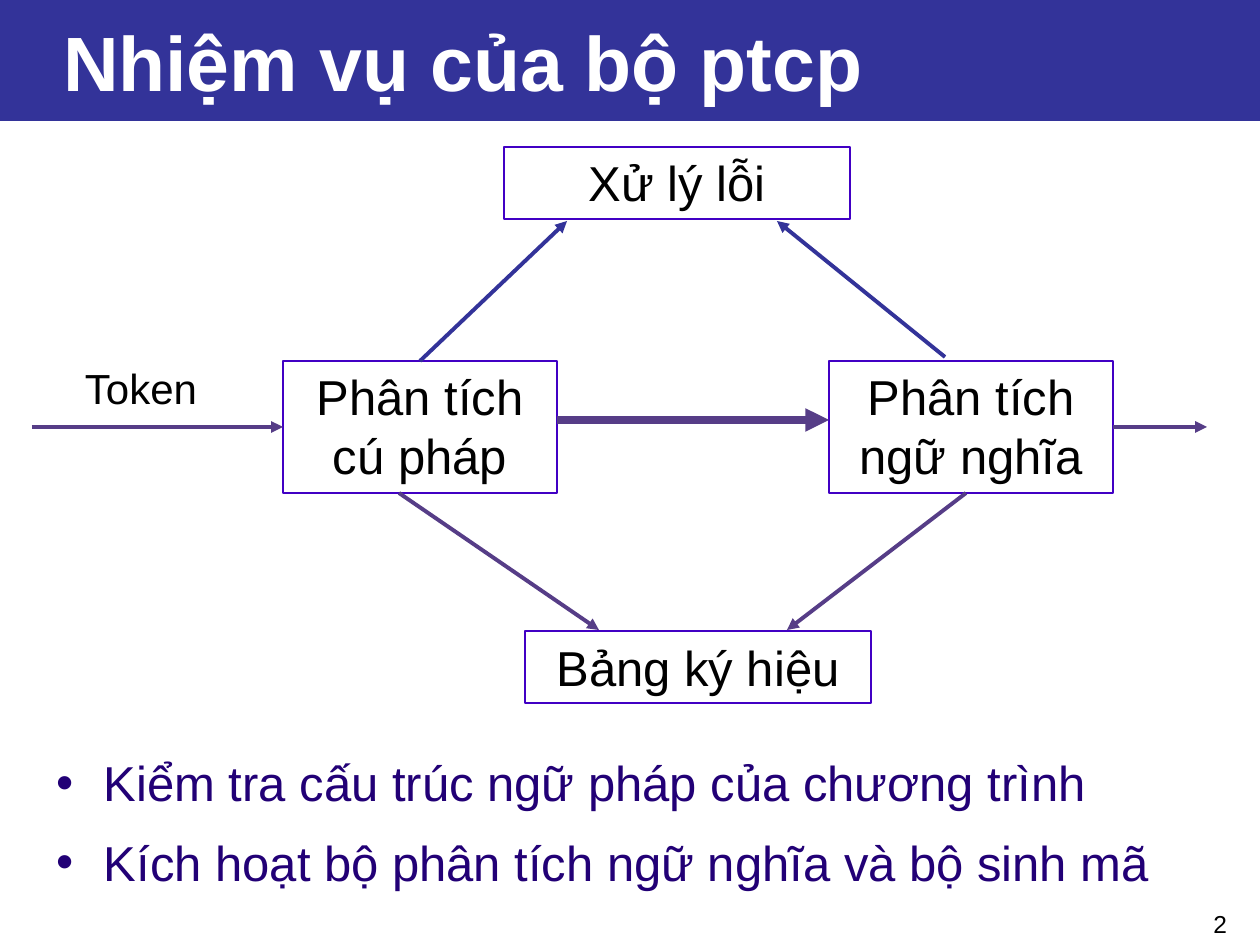
from dataclasses import dataclass

from lxml.etree import SubElement
from pptx import Presentation
from pptx.dml.color import RGBColor
from pptx.enum.shapes import MSO_CONNECTOR, MSO_SHAPE
from pptx.enum.text import MSO_ANCHOR, MSO_AUTO_SIZE, PP_ALIGN
from pptx.oxml.ns import qn
from pptx.util import Emu, Pt


@dataclass
class Theme:
    font: str = "Arial"
    band: str = "333399"
    white: str = "FFFFFF"
    black: str = "000000"
    bullet: str = "220076"
    border: str = "4100C4"
    flow: str = "563D87"
    title: int = 44
    body: int = 28
    label: int = 24
    number: int = 14


def px(v):
    return Emu(round(v * 914400 / 126))


def write(sp, text, size, color, align=PP_ALIGN.LEFT, anchor=MSO_ANCHOR.TOP,
          bold=False, margins=(12, 6, 12, 6), bullet=None, line=None, gap=0):
    tf = sp.text_frame
    tf.word_wrap = True
    tf.auto_size = MSO_AUTO_SIZE.NONE
    tf.vertical_anchor = anchor
    tf.margin_left, tf.margin_top, tf.margin_right, tf.margin_bottom = map(px, margins)
    for i, words in enumerate(text.split("\n")):
        p = tf.add_paragraph() if i else tf.paragraphs[0]
        p.alignment = align
        p.line_spacing = line
        p.space_before = Pt(gap if i else 0)
        if bullet:
            pPr = p._p.get_or_add_pPr()
            pPr.set("marL", str(px(47)))
            pPr.set("indent", str(-px(47)))
            SubElement(SubElement(pPr, qn("a:buClr")), qn("a:srgbClr"), val=color)
            SubElement(pPr, qn("a:buFont"), typeface=th.font)
            SubElement(pPr, qn("a:buChar"), char=bullet)
        r = p.add_run()
        r.text = words
        r.font.name = th.font
        r.font.size = Pt(size)
        r.font.bold = bold
        r.font.color.rgb = RGBColor.from_string(color)


th = Theme()
prs = Presentation()
prs.slide_width, prs.slide_height = px(1260), px(945)
s = prs.slides.add_slide(prs.slide_layouts[5])

title = s.shapes.title
title.left, title.top, title.width, title.height = map(px, (0, 0, 1260, 121))
title.fill.solid()
title.fill.fore_color.rgb = RGBColor.from_string(th.band)
write(title, "Nhiệm vụ của bộ ptcp", th.title, th.white, bold=True,
      anchor=MSO_ANCHOR.MIDDLE, margins=(63, 6, 12, 6))

number = s.shapes.add_textbox(*map(px, (977, 903, 262, 30)))
write(number, "2", th.number, th.black, align=PP_ALIGN.RIGHT)

duties = s.shapes.add_textbox(*map(px, (48, 735, 1170, 157)))
write(duties, "Kiểm tra cấu trúc ngữ pháp của chương trình\n"
      "Kích hoạt bộ phân tích ngữ nghĩa và bộ sinh mã",
      th.body, th.bullet, margins=(9, 12, 9, 6), bullet="•", line=1.1, gap=8.5)

token = s.shapes.add_textbox(*map(px, (73, 357, 189, 63)))
write(token, "Token", th.label, th.black)

boxes = {}
for name, text, at in [
    ("errors", "Xử lý lỗi", (504, 147, 346, 72)),
    ("syntax", "Phân tích cú pháp", (283, 361, 274, 132)),
    ("semantics", "Phân tích ngữ nghĩa", (829, 361, 284, 132)),
    ("symbols", "Bảng ký hiệu", (525, 631, 346, 72)),
]:
    sp = s.shapes.add_shape(MSO_SHAPE.RECTANGLE, *map(px, at))
    sp.shadow.inherit = False
    sp.fill.background()
    sp.line.color.rgb = RGBColor.from_string(th.border)
    sp.line.width = Pt(0.75)
    write(sp, text, th.body, th.black, align=PP_ALIGN.CENTER)
    boxes[name] = sp

for ends, color, width, begin, end in [
    ((32, 427, 283, 427), th.flow, 2.25, None, ("syntax", 1)),
    ((557, 420, 829, 420), th.flow, 4.5, None, None),
    ((1113, 427, 1207, 427), th.flow, 2.25, ("semantics", 3), None),
    ((399, 493, 599, 630), th.flow, 2.25, None, None),
    ((966, 493, 787, 630), th.flow, 2.25, None, None),
    ((420, 361, 567, 221), th.band, 2.25, ("syntax", 0), None),
    ((945, 357, 777, 221), th.band, 2.25, None, None),
]:
    c = s.shapes.add_connector(MSO_CONNECTOR.STRAIGHT, *map(px, ends))
    if begin:
        c.begin_connect(boxes[begin[0]], begin[1])
    if end:
        c.end_connect(boxes[end[0]], end[1])
    c.line.color.rgb = RGBColor.from_string(color)
    c.line.width = Pt(width)
    SubElement(c.line._get_or_add_ln(), qn("a:tailEnd"), type="triangle")
    SubElement(c._element.spPr, qn("a:effectLst"))

prs.save("out.pptx")
